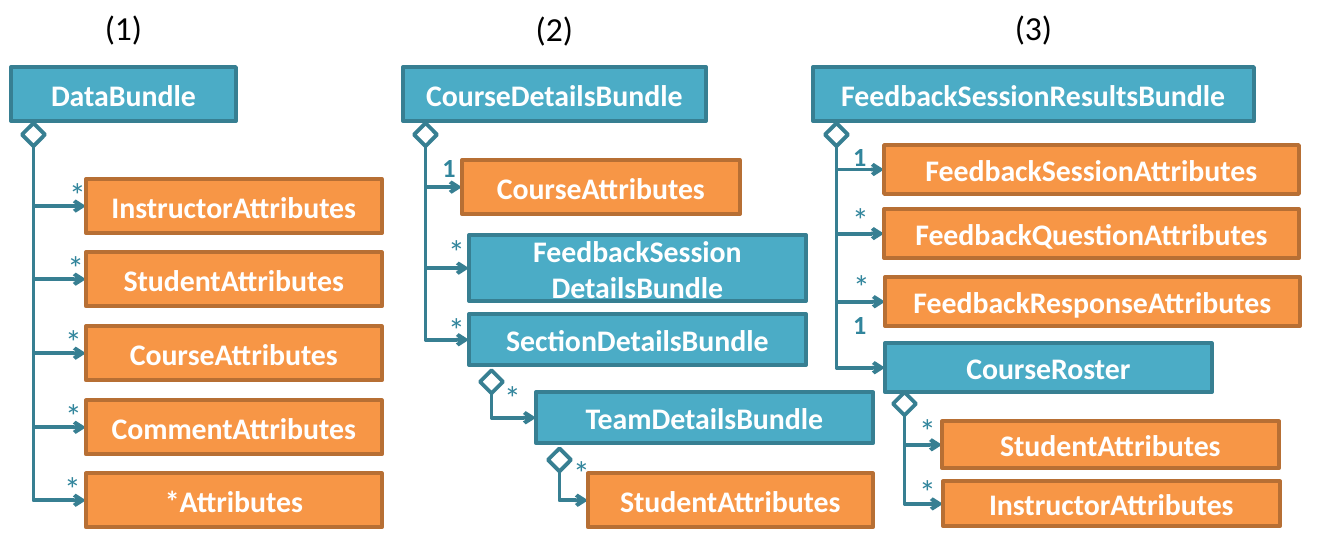
import lxml.etree
import pptx
import pptx.dml.color
import pptx.enum.shapes
import pptx.enum.text
import pptx.oxml.ns
import pptx.util

SHAPE = pptx.enum.shapes.MSO_SHAPE
ALIGN = pptx.enum.text.PP_ALIGN
ANCHOR = pptx.enum.text.MSO_ANCHOR
PIXEL = 914400 / 134.4


def emu(pixels):
    return pptx.util.Emu(round(pixels * PIXEL))


def color(hex_code):
    return pptx.dml.color.RGBColor.from_string(hex_code)


def add_xml(parent, tag, **attributes):
    return lxml.etree.SubElement(parent, pptx.oxml.ns.qn(tag), attributes)


class Diagram:
    FONT = "Calibri"
    BUNDLE = ("4BACC6", "377F92")
    ATTRIBUTES = ("F79646", "B76F34")
    DIAMOND = ("FFFFFF", "377F92")
    MARK = "31859C"
    LINE_WIDTH = 2
    DIAMOND_SIZE = 23

    def __init__(self, page):
        self.page = page

    def set_text(self, box, text, size, hex_code, bold=False, align=ALIGN.LEFT):
        frame = box.text_frame
        frame.word_wrap = True
        frame.text = text
        for para in frame.paragraphs:
            para.alignment = align
            for span in para.runs:
                span.font.name = self.FONT
                span.font.size = pptx.util.Pt(size)
                span.font.bold = bold
                span.font.color.rgb = color(hex_code)

    def shape(self, preset, left, top, width, height, style):
        box = self.page.shapes.add_shape(
            preset, emu(left), emu(top), emu(width), emu(height))
        fill, line = style
        box.shadow.inherit = False
        box.fill.solid()
        box.fill.fore_color.rgb = color(fill)
        box.line.color.rgb = color(line)
        box.line.width = pptx.util.Pt(self.LINE_WIDTH)
        return box

    def class_box(self, name, style, left, top, width, height):
        box = self.shape(SHAPE.RECTANGLE, left, top, width, height, style)
        box.text_frame.vertical_anchor = ANCHOR.MIDDLE
        self.set_text(box, name, 16, "FFFFFF", True, ALIGN.CENTER)

    def label(self, text, left, top, width, height, size, hex_code, **style):
        box = self.page.shapes.add_textbox(
            emu(left), emu(top), emu(width), emu(height))
        self.set_text(box, text, size, hex_code, **style)

    def multiplicity(self, text, left, top):
        if text == "1":
            self.label(text, left, top, 34, 46, 14, self.MARK, bold=True)
        else:
            self.label(text, left, top, 34, 54, 18, self.MARK)

    def link(self, start_x, start_y, end_x, end_y):
        """Elbow arrow that runs down, then right."""
        across, down = end_x - start_x, end_y - start_y
        # The preset runs right, then down, so it is turned about its centre
        left = (start_x + end_x - down) / 2
        top = (start_y + end_y - across) / 2
        arrow = self.page.shapes.add_connector(
            pptx.enum.shapes.MSO_CONNECTOR.ELBOW, emu(left), emu(top),
            emu(left + down), emu(top + across))
        arrow.line.color.rgb = color(self.BUNDLE[1])
        arrow.line.width = pptx.util.Pt(self.LINE_WIDTH)
        properties = arrow._element.spPr
        properties.xfrm.set("rot", "16200000")
        properties.xfrm.set("flipH", "1")
        properties.find(pptx.oxml.ns.qn("a:prstGeom")).set("prst", "bentConnector2")
        add_xml(properties.find(pptx.oxml.ns.qn("a:ln")), "a:tailEnd", type="arrow")
        add_xml(properties, "a:effectLst")

    def aggregation(self, left, top, parts):
        """Diamond below an owner, with an arrow to each of its parts."""
        size = self.DIAMOND_SIZE
        diamond = self.shape(
            SHAPE.FLOWCHART_DECISION, left, top, size, size, self.DIAMOND)
        diamond.rotation = 90
        for name, style, bounds, mark, mark_at in parts:
            part_left, part_top, _, part_height = bounds
            self.link(left + size / 2, top + size,
                      part_left, part_top + part_height / 2)
            self.class_box(name, style, *bounds)
            self.multiplicity(mark, *mark_at)

    def root(self, number, name, left, width, label_top):
        self.label(number, left, label_top, width, 54, 18, "000000",
                   align=ALIGN.CENTER)
        self.class_box(name, self.BUNDLE, left, 67, width, 54)


deck = pptx.Presentation()
deck.slide_width, deck.slide_height = pptx.util.Inches(10), pptx.util.Inches(4)
diagram = Diagram(deck.slides.add_slide(deck.slide_layouts[6]))
BUNDLE, ATTRIBUTES = Diagram.BUNDLE, Diagram.ATTRIBUTES

# (1) Data bundle: five evenly spaced parts
diagram.root("(1)", "DataBundle", 11, 225, 0)
data_parts = []
for index, (owner, mark_left) in enumerate([
        ("Instructor", 56), ("Student", 54), ("Course", 52),
        ("Comment", 52), ("*", 51)]):
    part_top = round(179 + 73.5 * index)
    data_parts.append((owner + "Attributes", ATTRIBUTES,
                       (86, part_top, 296, 54), "*", (mark_left, part_top - 12)))
diagram.aggregation(22, 123, data_parts)

# (2) Course details bundle, with nested section and team
diagram.root("(2)", "CourseDetailsBundle", 403, 303, 1)
diagram.aggregation(414, 123, [
    ("CourseAttributes", ATTRIBUTES, (462, 160, 278, 54), "1", (429, 145)),
    ("FeedbackSession\vDetailsBundle", BUNDLE, (469, 235, 337, 66), "*", (435, 224)),
    ("SectionDetailsBundle", BUNDLE, (469, 314, 337, 51), "*", (435, 302)),
])
diagram.aggregation(480, 370, [
    ("TeamDetailsBundle", BUNDLE, (536, 392, 337, 51), "*", (491, 370)),
])
diagram.aggregation(548, 448, [
    ("StudentAttributes", ATTRIBUTES, (588, 473, 285, 54), "*", (560, 445)),
])

# (3) Feedback session results bundle, with nested roster
diagram.root("(3)", "FeedbackSessionResultsBundle", 813, 441, 0)
diagram.aggregation(825, 123, [
    ("FeedbackSessionAttributes", ATTRIBUTES, (884, 145, 415, 49), "1", (840, 134)),
    ("FeedbackQuestionAttributes", ATTRIBUTES, (884, 209, 415, 49), "*", (839, 192)),
    ("FeedbackResponseAttributes", ATTRIBUTES, (885, 277, 415, 49), "*", (840, 259)),
    ("CourseRoster", BUNDLE, (885, 343, 327, 49), "1", (840, 302)),
])
diagram.aggregation(893, 392, [
    ("StudentAttributes", ATTRIBUTES, (942, 421, 337, 47), "*", (906, 403)),
    ("InstructorAttributes", ATTRIBUTES, (943, 481, 337, 45), "*", (906, 464)),
])

deck.save("out.pptx")
